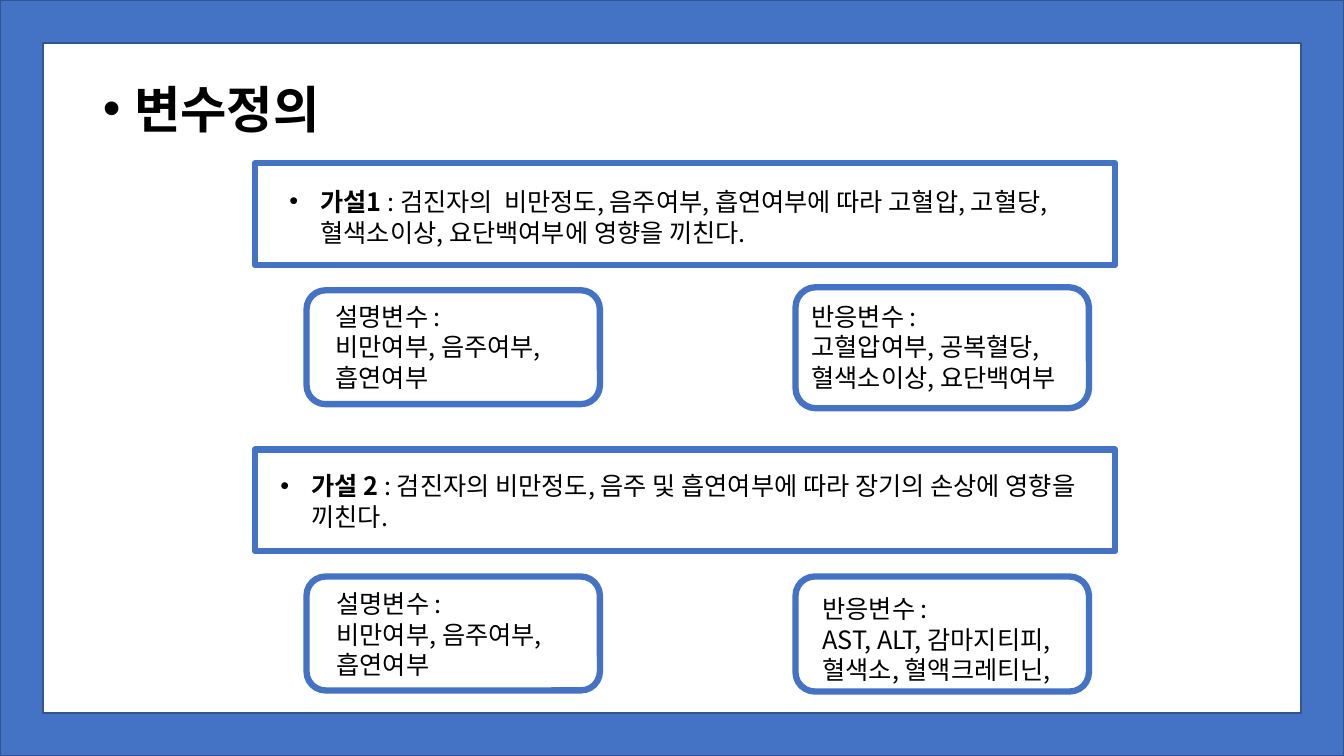
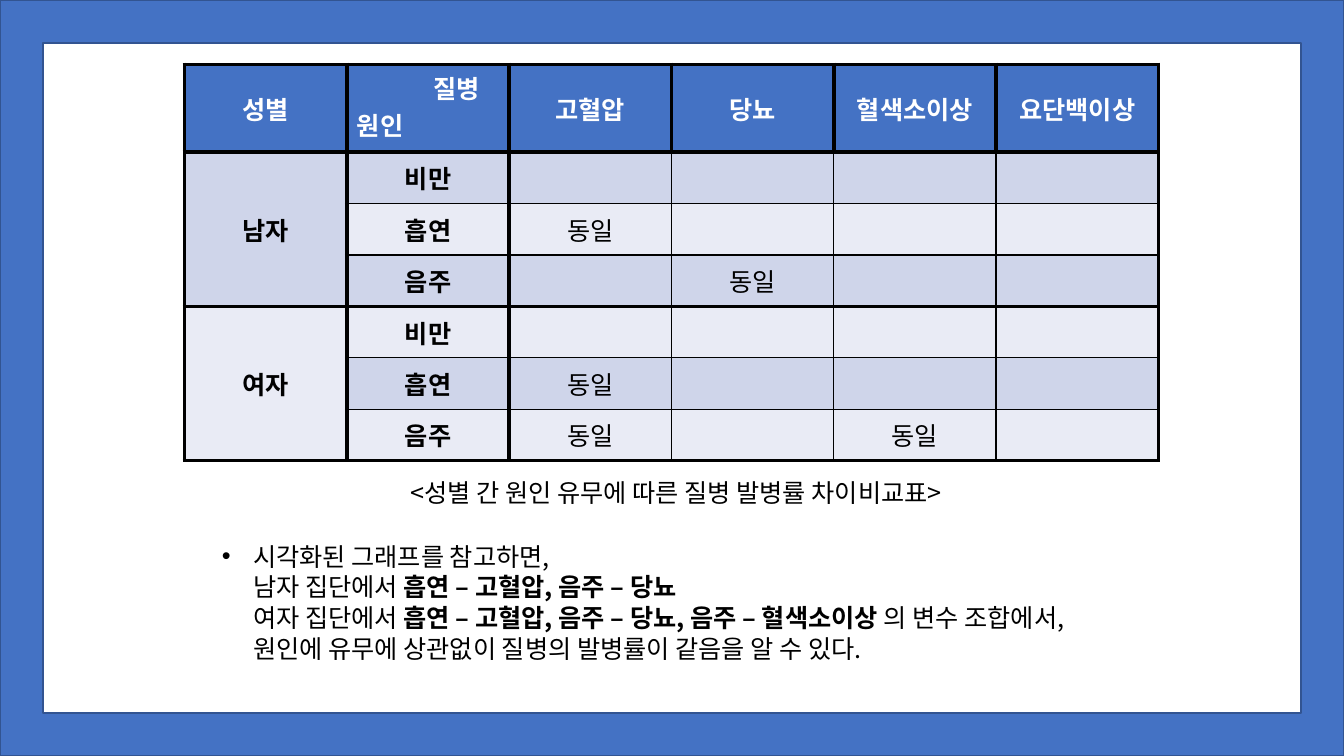
from dataclasses import dataclass

from lxml import etree
from pptx import Presentation
from pptx.dml.color import RGBColor
from pptx.enum.shapes import MSO_SHAPE
from pptx.enum.text import MSO_ANCHOR, MSO_AUTO_SIZE, PP_ALIGN
from pptx.oxml.ns import qn
from pptx.util import Inches, Pt

FRAME, RECTANGLE, ROUNDED = MSO_SHAPE.FRAME, MSO_SHAPE.RECTANGLE, MSO_SHAPE.ROUNDED_RECTANGLE
LEFT, CENTER = PP_ALIGN.LEFT, PP_ALIGN.CENTER
TOP, MIDDLE = MSO_ANCHOR.TOP, MSO_ANCHOR.MIDDLE
NO_AUTOFIT = MSO_AUTO_SIZE.NONE


@dataclass(frozen=True)
class Theme:
    font: str = "Noto Sans CJK KR"
    blue: RGBColor = RGBColor(0x44, 0x72, 0xC4)
    dark_blue: RGBColor = RGBColor(0x32, 0x54, 0x91)
    band: RGBColor = RGBColor(0xCF, 0xD5, 0xEA)
    light_band: RGBColor = RGBColor(0xE9, 0xEB, 0xF5)
    black: RGBColor = RGBColor(0, 0, 0)
    white: RGBColor = RGBColor(0xFF, 0xFF, 0xFF)
    title_size: int = 36
    body_size: int = 18
    leading: float = 1.22
    outline: float = 4.5
    thick: int = 3
    thin: int = 1


THEME = Theme()


def format_span(span, bold=False, size=THEME.body_size, color=THEME.black):
    span.font.name = THEME.font
    span.font.size = Pt(size)
    span.font.bold = bold
    span.font.color.rgb = color


def place_text(box, bounds, spans, size=THEME.body_size, bullet=False):
    """Move a box and fill it with (text, bold) spans; "\\n" in a text breaks the line."""
    box.left, box.top, box.width, box.height = map(Inches, bounds)
    frame = box.text_frame
    frame.word_wrap = True
    frame.auto_size = NO_AUTOFIT
    frame.vertical_anchor = TOP
    para = frame.paragraphs[0]
    properties = para._p.get_or_add_pPr()
    indent = Inches(0.31) if bullet else 0
    properties.set("marL", str(indent))
    properties.set("indent", str(-indent))
    if bullet:
        etree.SubElement(properties, qn("a:buFont"), typeface="Arial")
        etree.SubElement(properties, qn("a:buChar"), char="•")
    para.alignment = LEFT
    para.space_before = Pt(0)
    para.line_spacing = Pt(round(size * THEME.leading))
    for text, bold in spans:
        for number, line in enumerate(text.split("\n")):
            if number:
                para.add_line_break()
            if line:
                span = para.add_run()
                span.text = line
                format_span(span, bold, size)


deck = Presentation()
deck.slide_width, deck.slide_height = Inches(13.33), Inches(7.5)
variables_page = deck.slides.add_slide(deck.slide_layouts[3])
comparison_page = deck.slides.add_slide(deck.slide_layouts[1])

# The blue frame belongs to the master, behind every page
border = variables_page.shapes.add_shape(FRAME, 0, 0, deck.slide_width, deck.slide_height)
border.adjustments[0] = 0.057
border.shadow.inherit = False
border.fill.solid()
border.fill.fore_color.rgb = THEME.blue
border.line.color.rgb = THEME.dark_blue
border.line.width = Pt(1)
border.element.nvSpPr.cNvPr.set("id", "100")
deck.slide_master.shapes.element.insert(2, border.element)

# Variable definitions
title, first_list, second_list = variables_page.placeholders
place_text(title, (0.92, 0.71, 8.1, 0.71), [("변수정의", True)], THEME.title_size, bullet=True)

hypotheses = [
    (first_list, (2.77, 1.79, 7.88, 0.71), "가설1 ",
     ": 검진자의  비만정도, 음주여부, 흡연여부에 따라 고혈압, 고혈당, 혈색소이상, 요단백여부에 영향을 끼친다."),
    (second_list, (2.68, 4.61, 8.13, 0.71), "가설 2 ",
     ": 검진자의 비만정도, 음주 및 흡연여부에 따라 장기의 손상에 영향을 끼친다."),
]
for box, bounds, label, statement in hypotheses:
    place_text(box, bounds, [(label, True), (statement, False)], bullet=True)

explanatory = "설명변수 : \n비만여부, 음주여부, 흡연여부"
cards = [
    (RECTANGLE, (2.53, 1.62, 8.53, 1.01), None, None),
    (ROUNDED, (3.04, 2.88, 2.91, 1.13), (3.23, 2.93, 2.39, 1.01), explanatory),
    (ROUNDED, (7.89, 2.85, 2.91, 1.2), (7.95, 2.93, 2.91, 1.01),
     "반응변수 : \n고혈압여부, 공복혈당, 혈색소이상, 요단백여부"),
    (RECTANGLE, (2.53, 4.46, 8.53, 1.01), None, None),
    (ROUNDED, (3.04, 5.72, 2.91, 1.13), (3.24, 5.78, 2.36, 1.01), explanatory),
    (ROUNDED, (7.89, 5.72, 2.91, 1.14), (8.06, 5.83, 2.73, 0.87),
     "반응변수 : \nAST, ALT, 감마지티피,혈색소, 혈액크레티닌,"),
]
for kind, outline_bounds, text_bounds, text in cards:
    shapes = variables_page.shapes.add_group_shape().shapes if text else variables_page.shapes
    outline = shapes.add_shape(kind, *map(Inches, outline_bounds))
    outline.shadow.inherit = False
    outline.fill.background()
    outline.line.color.rgb = THEME.blue
    outline.line.width = Pt(THEME.outline)
    if text:
        box = shapes.add_textbox(*map(Inches, text_bounds))
        place_text(box, text_bounds, [(text, False)])

# Comparison table
rows = [
    ["성별", "질병\n원인", "고혈압", "당뇨", "혈색소이상", "요단백이상"],
    ["남자", "비만", "", "", "", ""],
    ["", "흡연", "동일", "", "", ""],
    ["", "음주", "", "동일", "", ""],
    ["여자", "비만", "", "", "", ""],
    ["", "흡연", "동일", "", "", ""],
    ["", "음주", "동일", "", "동일", ""],
]
thick_columns, thick_rows = {0, 1, 2, 6}, {0, 1, 4, 7}
table = comparison_page.shapes.add_table(
    len(rows), len(rows[0]), Inches(1.83), Inches(0.64), Inches(9.66), Inches(3.93)).table
for column in table.columns:
    column.width = Inches(1.61)
for number, row in enumerate(table.rows):
    row.height = Inches(0.51 if number else 0.87)
for first in (1, 4):
    table.cell(first, 0).merge(table.cell(first + 2, 0))

for r, texts in enumerate(rows):
    for c, text in enumerate(texts):
        cell = table.cell(r, c)
        properties = cell._tc.get_or_add_tcPr()
        edges = {
            "a:lnL": r == 0 or c in thick_columns,
            "a:lnR": r == 0 or c + 1 in thick_columns,
            "a:lnT": c == 0 or r in thick_rows,
            "a:lnB": c == 0 or r + 1 in thick_rows,
        }
        for tag, is_thick in edges.items():
            width = Pt(THEME.thick if is_thick else THEME.thin)
            line = etree.SubElement(properties, qn(tag), w=str(width))
            fill = etree.SubElement(line, qn("a:solidFill"))
            etree.SubElement(fill, qn("a:srgbClr"), val=str(THEME.black))
        cell.fill.solid()
        if r == 0:
            cell.fill.fore_color.rgb = THEME.blue
        else:
            cell.fill.fore_color.rgb = THEME.band if r % 2 else THEME.light_band
        cell.vertical_anchor = MIDDLE
        if text:
            cell.text_frame.text = text
        for para in cell.text_frame.paragraphs:
            para.alignment = CENTER
            for span in para.runs:
                format_span(span, r == 0 or c < 2, color=THEME.black if r else THEME.white)

corner = table.cell(0, 1)
corner.vertical_anchor = TOP
disease, cause = corner.text_frame.paragraphs
disease._p.get_or_add_pPr().set("marL", str(Inches(0.56)))
cause.alignment = LEFT

caption, findings = comparison_page.placeholders
place_text(caption, (3.97, 4.68, 6.35, 0.4),
           [("<성별 간 원인 유무에 따른 질병 발병률 차이비교표>", False)])
place_text(findings, (2.1, 5.31, 9.13, 1.31), [
    ("시각화된 그래프를 참고하면,\n남자 집단에서 ", False),
    ("흡연 – 고혈압, 음주 – 당뇨\n", True),
    ("여자 집단에서 ", False),
    ("흡연 – 고혈압, 음주 – 당뇨, 음주 – 혈색소이상 ", True),
    ("의 변수 조합에서, 원인에 유무에 상관없이 질병의 발병률이 같음을 알 수 있다.", False),
], bullet=True)

# Korean letters take the East Asian typeface of each run
for page in deck.slides:
    for latin in list(page.element.iter(qn("a:latin"))):
        east_asian = etree.Element(qn("a:ea"), typeface=THEME.font)
        latin.addnext(east_asian)

deck.save("out.pptx")
